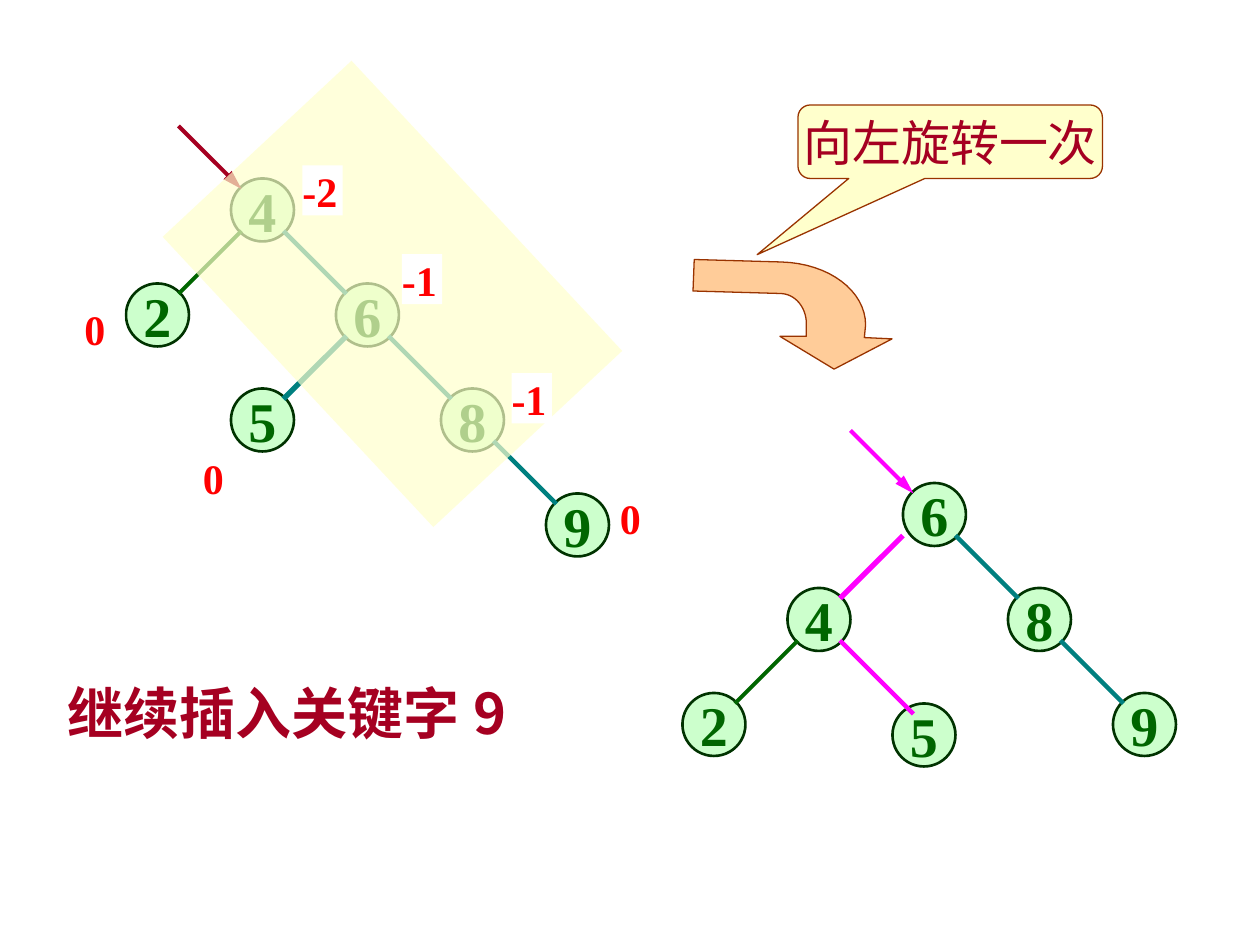
from dataclasses import dataclass
from typing import Any

from lxml import etree
from pptx import Presentation
from pptx import util as u
from pptx.dml import color as c
from pptx.enum import shapes, text
from pptx.oxml import ns

WIDTH, HEIGHT = 10, 7.5
COLUMNS, ROWS = 12, 9
NODE_SIZE = 0.6
SERIF, SANS = "Times New Roman", "Noto Sans CJK SC"
TEAL, GREEN, MAGENTA, CRIMSON = "008080", "006600", "FF00FF", "A50021"
CREAM, BROWN = "FFFFCC", "993300"
NODE_TEXT = {"size": u.Pt(32), "bold": True, "name": SERIF}
BALANCE_TEXT = {"size": u.Pt(24), "bold": True, "name": SERIF}
CALLOUT_TEXT = {"size": u.Pt(28), "name": SERIF}
CAPTION_TEXT = {"size": u.Pt(32), "bold": True, "name": SANS}
NODE_FRAME = {"word_wrap": False, "vertical_anchor": text.MSO_ANCHOR.MIDDLE}
LABEL_FRAME = {"word_wrap": True, "vertical_anchor": text.MSO_ANCHOR.TOP}
NO_MARGINS = dict.fromkeys(("margin_left", "margin_top", "margin_right", "margin_bottom"), 0)

Point = tuple[float, float]


@dataclass
class Node:
    label: str
    column: float
    row: float


@dataclass
class Edge:
    column: float
    row: float
    across: float
    down: float
    color: str
    weight: float = 2.5
    arrow: bool = False


@dataclass
class Balance:
    label: str
    left: float
    top: float


LEFT_NODES = [Node("4", 2.5, 2), Node("2", 1.5, 3), Node("6", 3.5, 3),
              Node("5", 2.5, 4), Node("8", 4.5, 4), Node("9", 5.5, 5)]
LEFT_EDGES = [Edge(2.3, 2.2, -0.6, 0.6, GREEN, 2.25), Edge(2.7, 2.2, 0.6, 0.6, TEAL),
              Edge(1.7, 1.2, 0.6, 0.6, CRIMSON, 2.25, True),
              Edge(3.3, 3.2, -0.6, 0.6, TEAL, 3), Edge(3.7, 3.2, 0.6, 0.6, TEAL),
              Edge(4.7, 4.2, 0.6, 0.6, TEAL)]
RIGHT_NODES = [Node("4", 7.8, 5.9), Node("2", 6.8, 6.9), Node("6", 8.9, 4.9),
               Node("8", 9.9, 5.9), Node("9", 10.9, 6.9), Node("5", 8.8, 7)]
RIGHT_EDGES = [Edge(7.6, 6.1, -0.6, 0.6, GREEN, 2.25), Edge(8.6, 5.1, -0.6, 0.6, MAGENTA, 3),
               Edge(9.1, 5.1, 0.6, 0.6, TEAL), Edge(10.1, 6.1, 0.6, 0.6, TEAL),
               Edge(8.1, 4.1, 0.6, 0.6, MAGENTA, 2.25, True),
               Edge(8, 6.1, 0.7, 0.7, MAGENTA)]
BALANCES = [Balance("0", 0.492, 0.521), Balance("-1", 0.406, 0.395),
            Balance("-1", 0.319, 0.269), Balance("-2", 0.24, 0.175),
            Balance("0", 0.067, 0.321), Balance("0", 0.161, 0.479)]


def color(value: str) -> c.RGBColor:
    return c.RGBColor.from_string(value)


def grid_x(column: float) -> int:
    return u.Inches(column * WIDTH / COLUMNS)


def grid_y(row: float) -> int:
    return u.Inches(row * HEIGHT / ROWS)


def share_box(left: float, top: float, width: float, height: float) -> tuple[int, ...]:
    return (u.Inches(left * WIDTH), u.Inches(top * HEIGHT),
            u.Inches(width * WIDTH), u.Inches(height * HEIGHT))


def set_values(target: Any, values: dict[str, Any]) -> None:
    for name, value in values.items():
        setattr(target, name, value)


def paint(shape: Any, fill: str, line: str | None = None, weight: float = 0.75) -> None:
    shape.shadow.inherit = False
    shape.fill.solid()
    shape.fill.fore_color.rgb = color(fill)
    if line is None:
        shape.line.fill.background()
    else:
        shape.line.color.rgb = color(line)
        shape.line.width = u.Pt(weight)


def write(shape: Any, label: str, ink: str, font: dict[str, Any], frame: dict[str, Any],
          alignment: Any = text.PP_ALIGN.LEFT) -> None:
    set_values(shape.text_frame, frame)
    paragraph = shape.text_frame.paragraphs[0]
    paragraph.alignment = alignment
    run = paragraph.add_run()
    run.text = label
    set_values(run.font, font)
    run.font.color.rgb = color(ink)
    properties = run._r.get_or_add_rPr()
    etree.SubElement(properties, ns.qn("a:ea"), typeface=SANS)


def draw_node(slide: Any, node: Node) -> None:
    half = NODE_SIZE / 2
    shape = slide.shapes.add_shape(
        shapes.MSO_SHAPE.OVAL, grid_x(node.column - half), grid_y(node.row - half),
        grid_x(NODE_SIZE), grid_y(NODE_SIZE))
    paint(shape, "CCFFCC", "003300", 1.5)
    write(shape, node.label, GREEN, NODE_TEXT, NODE_FRAME, text.PP_ALIGN.CENTER)


def draw_edge(slide: Any, edge: Edge) -> None:
    connector = slide.shapes.add_connector(
        shapes.MSO_CONNECTOR.STRAIGHT, grid_x(edge.column), grid_y(edge.row),
        grid_x(edge.column + edge.across), grid_y(edge.row + edge.down))
    connector.line.color.rgb = color(edge.color)
    connector.line.width = u.Pt(edge.weight)
    properties = connector._element.spPr
    if edge.arrow:
        etree.SubElement(properties.find(ns.qn("a:ln")), ns.qn("a:tailEnd"),
                         type="triangle", w="med", len="lg")
    etree.SubElement(properties, ns.qn("a:effectLst"))


def draw_tree(slide: Any, nodes: list[Node], edges: list[Edge]) -> None:
    for node in nodes:
        draw_node(slide, node)
    for edge in edges:
        draw_edge(slide, edge)


def draw_balance(slide: Any, balance: Balance) -> None:
    shape = slide.shapes.add_shape(shapes.MSO_SHAPE.RECTANGLE,
                                   *share_box(balance.left, balance.top, 0.032, 0.053))
    paint(shape, "FFFFFF")
    write(shape, balance.label, "FF0000", BALANCE_TEXT, LABEL_FRAME | NO_MARGINS)


def draw_rotation_zone(slide: Any) -> None:
    zone = slide.shapes.add_shape(shapes.MSO_SHAPE.RECTANGLE,
                                  *share_box(0.209, 0.101, 0.205, 0.42))
    paint(zone, CREAM)
    zone.rotation = 317
    fill_color = zone._element.spPr.find(ns.qn("a:solidFill"))[0]
    etree.SubElement(fill_color, ns.qn("a:alpha"), val="69000")


def curve(*points: Point, steps: int = 16) -> list[Point]:
    def at(t: float, axis: int) -> float:
        weights = ((1 - t) ** 3, 3 * t * (1 - t) ** 2, 3 * t * t * (1 - t), t ** 3)
        return sum(weight * point[axis] for weight, point in zip(weights, points))
    return [(at(i / steps, 0), at(i / steps, 1)) for i in range(1, steps + 1)]


def draw_turn_arrow(slide: Any) -> None:
    outer = curve((6.2, 2.08), (6.58, 2.09), (6.87, 2.31), (6.87, 2.58))
    inner = curve((6.4, 2.57), (6.4, 2.44), (6.31, 2.33), (6.19, 2.33))
    head = [(6.86, 2.68), (7.08, 2.69), (6.62, 2.93), (6.19, 2.67), (6.4, 2.67), (6.4, 2.57)]
    outline = [(5.51, 2.06), (6.2, 2.08), *outer, *head, *inner, (5.5, 2.31)]
    start, *corners = [(u.Inches(x), u.Inches(y)) for x, y in outline]
    builder = slide.shapes.build_freeform(*start)
    builder.add_line_segments(corners, close=True)
    paint(builder.convert_to_shape(), "FFCC99", BROWN)


def draw_callout(slide: Any) -> None:
    callout = slide.shapes.add_shape(
        shapes.MSO_SHAPE.ROUNDED_RECTANGULAR_CALLOUT,
        grid_x(7.6), grid_y(1), grid_x(2.9), grid_y(0.7))
    for index, value in enumerate((-0.634, 1.536, 0.167)):
        callout.adjustments[index] = value
    paint(callout, CREAM, BROWN)
    write(callout, "向左旋转一次", CRIMSON, CALLOUT_TEXT, NODE_FRAME, text.PP_ALIGN.CENTER)


def draw_caption(slide: Any) -> None:
    caption = slide.shapes.add_textbox(*share_box(0.044, 0.711, 0.439, 0.085))
    write(caption, "继续插入关键字 9", CRIMSON, CAPTION_TEXT, LABEL_FRAME)


def main() -> None:
    presentation = Presentation()
    set_values(presentation, {"slide_width": u.Inches(WIDTH), "slide_height": u.Inches(HEIGHT)})
    slide = presentation.slides.add_slide(presentation.slide_layouts[6])
    draw_tree(slide, LEFT_NODES, LEFT_EDGES)
    draw_rotation_zone(slide)
    draw_tree(slide, RIGHT_NODES, RIGHT_EDGES)
    draw_turn_arrow(slide)
    draw_callout(slide)
    draw_caption(slide)
    for balance in BALANCES:
        draw_balance(slide, balance)
    presentation.save("out.pptx")


if __name__ == "__main__":
    main()
